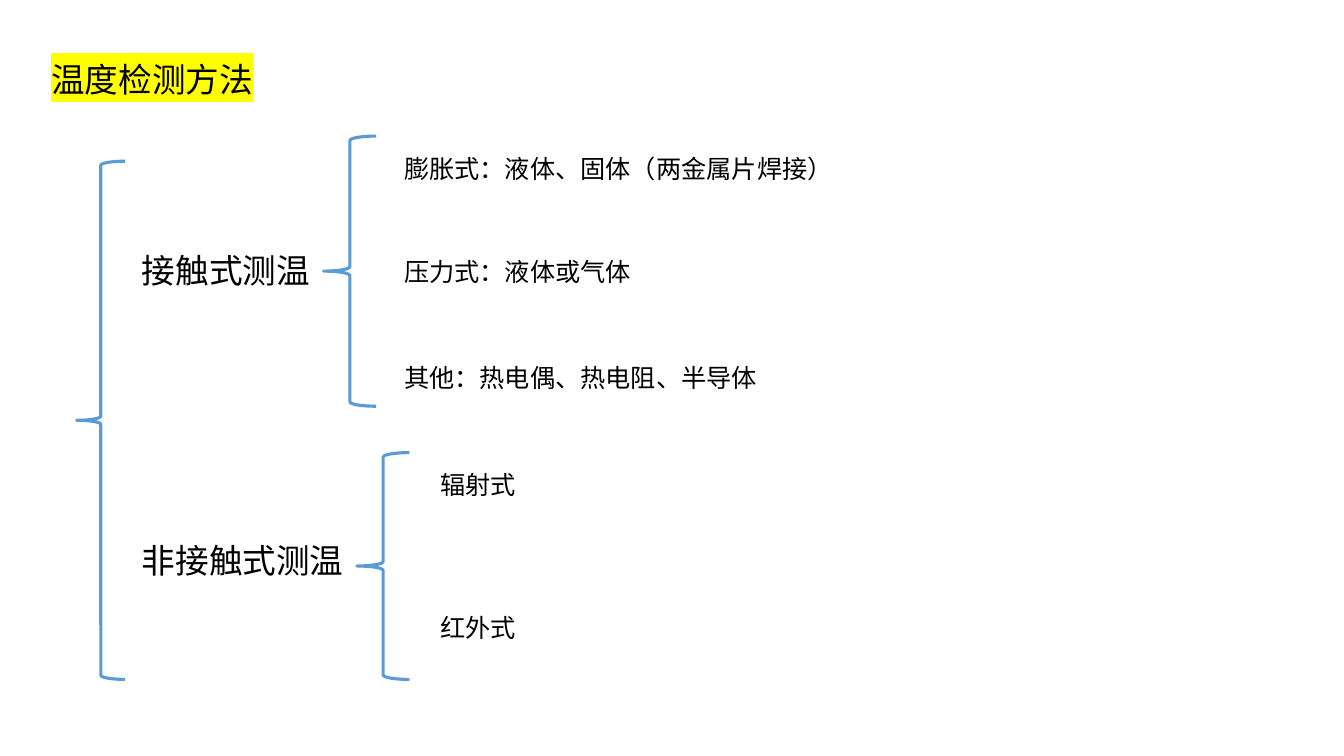
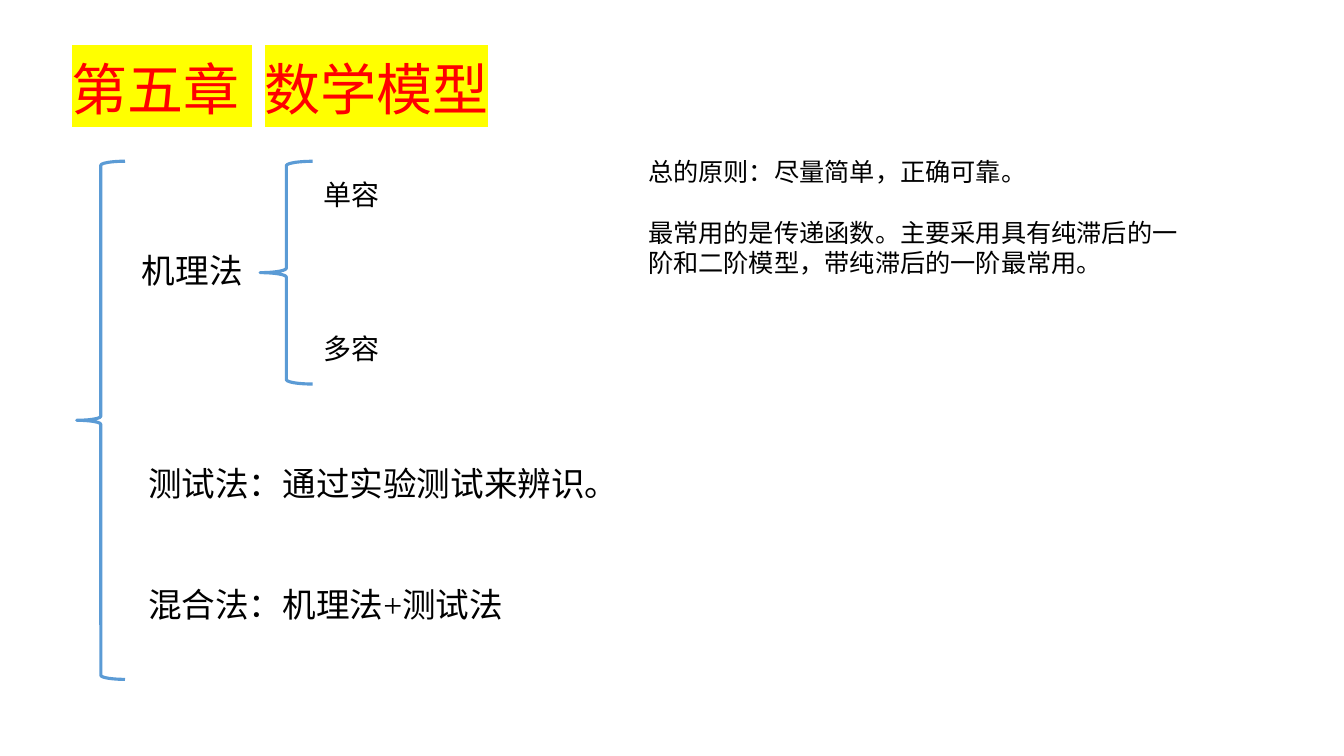
import pptx
import pptx.util
import pptx.dml.color
import pptx.enum.shapes
import pptx.enum.text
import pptx.oxml.ns
import lxml.etree

Inches = pptx.util.Inches
Pt = pptx.util.Pt
BLACK = pptx.dml.color.RGBColor(0x00, 0x00, 0x00)
RED = pptx.dml.color.RGBColor(0xFF, 0x00, 0x00)
BLUE = pptx.dml.color.RGBColor(0x5B, 0x9B, 0xD5)
YELLOW = pptx.dml.color.RGBColor(0xFF, 0xFF, 0x00)
SERIF = "Times New Roman"
SANS = "Calibri"
qn = pptx.oxml.ns.qn


def style(run, size, font, color):
    run.font.size = Pt(size)
    run.font.color.rgb = color
    run.font.name = font


def write(shape, lines, size, fonts, color=BLACK, gap=0):
    frame = shape.text_frame
    frame.word_wrap = True
    frame.auto_size = pptx.enum.text.MSO_AUTO_SIZE.SHAPE_TO_FIT_TEXT
    frame.vertical_anchor = pptx.enum.text.MSO_ANCHOR.TOP
    frame.text = "\n".join(lines)
    for i, para in enumerate(frame.paragraphs):
        para.alignment = pptx.enum.text.PP_ALIGN.LEFT
        if i:
            para.space_before = Pt(gap)
        for run in para.runs:
            style(run, size, fonts[i], color)


BRACE = (0.76, 1.6, 0.48, 5.14)
HEAD = (1.31, 2.43, 2.5, 0.5)

pages = [
    {
        "title": (["温度检测方法"], (0.41, 0.53, 2.5, 0.5), 24, SERIF, BLACK),
        "braces": [BRACE, (3.21, 1.35, 0.52, 2.68), (3.54, 4.49, 0.52, 2.25)],
        "texts": [
            (["接触式测温"], HEAD, 24, [SERIF], 0),
            (["非接触式测温"], (1.31, 5.31, 2.5, 0.5), 24, [SERIF], 0),
            (["膨胀式：液体、固体（两金属片焊接）"], (3.91, 1.47, 4.79, 0.4), 18, [SANS], 0),
            (["压力式：液体或气体"], (3.91, 2.49, 4.79, 0.4), 18, [SANS], 0),
            (["其他：热电偶、热电阻、半导体"], (3.91, 3.55, 4.79, 0.4), 18, [SANS], 0),
            (["辐射式"], (4.27, 4.61, 4.79, 0.4), 18, [SANS], 0),
            (["红外式"], (4.27, 6.03, 4.79, 0.4), 18, [SANS], 0),
        ],
    },
    {
        "title": (["第五章", " ", "数学模型"], (0.61, 0.49, 5.42, 0.77), 40, SANS, RED),
        "braces": [BRACE, (2.58, 1.6, 0.52, 2.21)],
        "texts": [
            (["机理法"], HEAD, 24, [SERIF], 0),
            (["测试法：通过实验测试来辨识。", "混合法：机理法+测试法"],
             (1.37, 4.54, 6.11, 1.72), 24, [SERIF, SERIF], 58),
            (["单容"], (3.11, 1.71, 4.79, 0.44), 20, [SANS], 0),
            (["多容"], (3.11, 3.24, 4.79, 0.44), 20, [SANS], 0),
            (["总的原则：尽量简单，正确可靠。",
              "最常用的是传递函数。主要采用具有纯滞后的一阶和二阶模型，带纯滞后的一阶最常用。"],
             (6.33, 1.5, 5.55, 1.92), 18, [SANS, "Arial"], 22),
        ],
    },
]

deck = pptx.Presentation()
deck.slide_width = Inches(13.33)
deck.slide_height = Inches(7.5)

for page in pages:
    slide = deck.slides.add_slide(deck.slide_layouts[5])
    parts, box, size, font, color = page["title"]
    title = slide.shapes.title
    title.left, title.top, title.width, title.height = [Inches(n) for n in box]
    write(title, parts[:1], size, [font], color)
    para = title.text_frame.paragraphs[0]
    for part in parts[1:]:
        run = para.add_run()
        run.text = part
        style(run, size, font, color)
        if part == " ":
            run.font._element.set("spc", "900")
    for run in para.runs:
        mark = lxml.etree.Element(qn("a:highlight"))
        lxml.etree.SubElement(mark, qn("a:srgbClr"), val=str(YELLOW))
        run.font._element.find(qn("a:solidFill")).addnext(mark)

    for box in page["braces"]:
        brace = slide.shapes.add_shape(
            pptx.enum.shapes.MSO_SHAPE.LEFT_BRACE, *[Inches(n) for n in box])
        brace.shadow.inherit = False
        brace.fill.background()
        brace.line.color.rgb = BLUE
        brace.line.width = Pt(2.25)

    for lines, box, size, fonts, gap in page["texts"]:
        label = slide.shapes.add_textbox(*[Inches(n) for n in box])
        write(label, lines, size, fonts, gap=gap)

deck.save("out.pptx")
